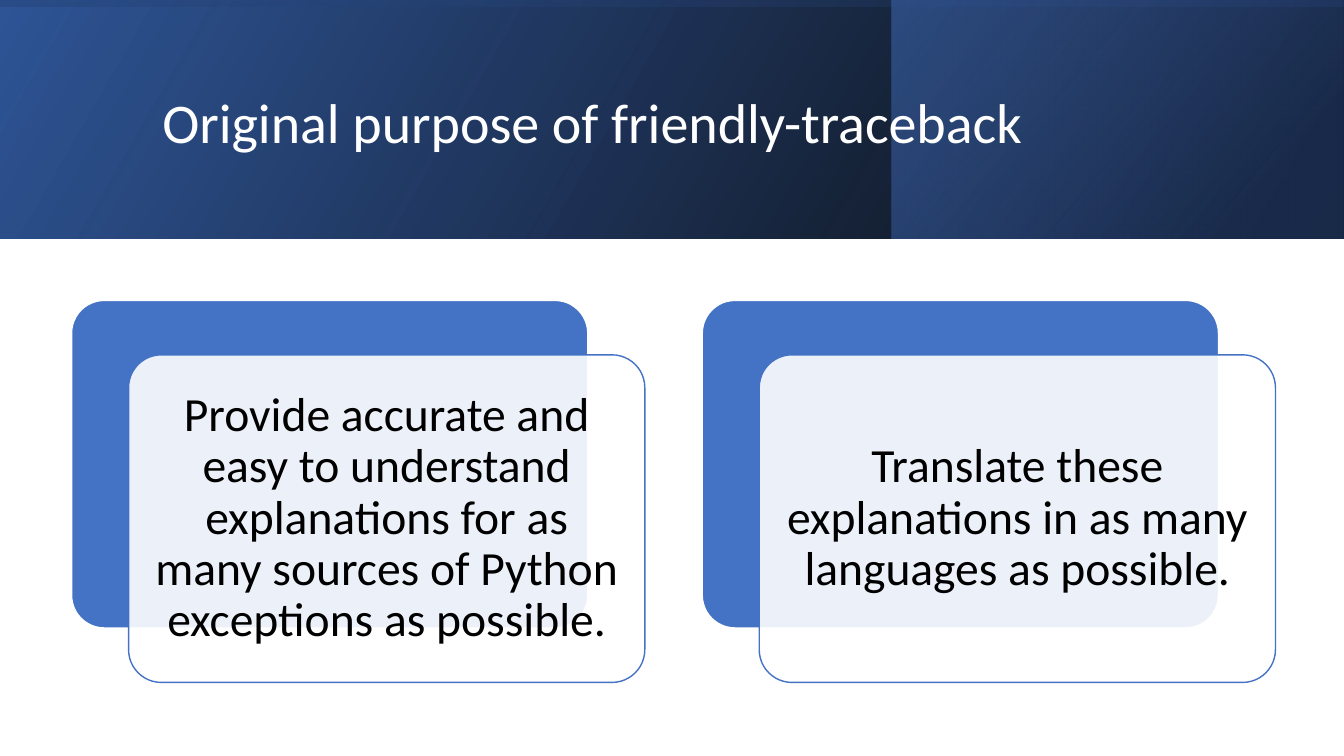
import pptx
import pptx.util
import pptx.dml.color
import pptx.enum.shapes
import pptx.enum.text
import pptx.oxml.ns
import lxml.etree

Inches = pptx.util.Inches
Pt = pptx.util.Pt
RGB = pptx.dml.color.RGBColor
Shape = pptx.enum.shapes.MSO_SHAPE
Align = pptx.enum.text.PP_ALIGN

WHITE = RGB(0xFF, 0xFF, 0xFF)
BLACK = RGB(0x00, 0x00, 0x00)
BLUE = RGB(0x44, 0x72, 0xC4)
DEEP = RGB(0x2F, 0x55, 0x97)
NAVY = RGB(0x20, 0x38, 0x64)

TITLE = "Original purpose of friendly-traceback"
GOALS = [
    "Provide accurate and easy to understand explanations for as many "
    "sources of Python exceptions as possible.",
    "Translate these explanations in as many languages as possible.",
]

WIDE, HIGH = 13.33, 7.5
BAND = 2.37
MID = (WIDE - BAND) / 2
# box, turn, gradient angle, stops of (percent, colour, opacity)
LAYERS = [
    ((0, 0, WIDE, BAND), 0, 30, [(0, BLACK, 96), (100, DEEP, 100)]),
    ((8.84, 0, 4.48, BAND), 0, 40, [(19, NAVY, 68), (100, BLUE, 48)]),
    ((MID, -MID, BAND, WIDE), 270, 10, [(23, DEEP, 16), (99, BLACK, 45)]),
]

CARD = (5.12, 3.25)
LEFT, TOP = 0.71, 2.98
STEP = 6.255
SHIFT = (0.565, 0.54)
PAD = 0.1


def fade(color, percent):
    """Set the opacity of an RGB colour element."""
    tag = pptx.oxml.ns.qn("a:alpha")
    lxml.etree.SubElement(color, tag).set("val", str(percent * 1000))


def write(shape, text, size, color, align=Align.LEFT, inset=0.1):
    frame = shape.text_frame
    frame.word_wrap = True
    frame.auto_size = pptx.enum.text.MSO_AUTO_SIZE.NONE
    frame.vertical_anchor = pptx.enum.text.MSO_ANCHOR.MIDDLE
    frame.margin_left = frame.margin_right = Inches(inset)
    frame.margin_top = frame.margin_bottom = Inches(inset)
    para = frame.paragraphs[0]
    para.alignment = align
    para.line_spacing = 0.9
    run = para.add_run()
    run.text = text
    run.font.name = "Calibri"
    run.font.size = Pt(size)
    run.font.color.rgb = color


def draw(shapes, kind, box):
    shape = shapes.add_shape(kind, *map(Inches, box))
    shape.shadow.inherit = False
    return shape


def layer(shapes, box, turn, angle, stops):
    """Draw one mirrored gradient sheet of the header."""
    sheet = draw(shapes, Shape.RECTANGLE, box)
    sheet.rotation = turn
    sheet.element.spPr.xfrm.set("flipH", "1")
    sheet.line.fill.background()
    sheet.fill.gradient()
    sheet.fill.gradient_angle = angle
    for stop, (place, color, alpha) in zip(sheet.fill.gradient_stops, stops):
        stop.position = place / 100
        stop.color.rgb = color
    tag = pptx.oxml.ns.qn("a:srgbClr")
    for mark, (place, color, alpha) in zip(sheet.element.spPr.iter(tag), stops):
        fade(mark, alpha)


def panel(shapes, x, y, fill, line):
    card = draw(shapes, Shape.ROUNDED_RECTANGLE, (x, y, *CARD))
    card.adjustments[0] = 0.1
    card.fill.solid()
    card.fill.fore_color.rgb = fill
    card.line.color.rgb = line
    card.line.width = Pt(1)
    return card


def goal(shapes, x, text):
    """Draw a blue card, the clear card over it and the text."""
    group = shapes.add_group_shape().shapes
    panel(group, x, TOP, BLUE, WHITE)
    x, y = x + SHIFT[0], TOP + SHIFT[1]
    front = panel(group, x, y, WHITE, BLUE)
    tag = pptx.oxml.ns.qn("a:srgbClr")
    fade(next(front.element.spPr.iter(tag)), 90)
    box = (x + PAD, y + PAD, CARD[0] - 2 * PAD, CARD[1] - 2 * PAD)
    label = group.add_textbox(*map(Inches, box))
    write(label, text, size=34, color=BLACK, align=Align.CENTER, inset=0.14)


def main():
    deck = pptx.Presentation()
    deck.slide_width, deck.slide_height = Inches(WIDE), Inches(HIGH)
    slide = deck.slides.add_slide(deck.slide_layouts[5])
    shapes = slide.shapes
    title = shapes.title
    for item in LAYERS:
        layer(shapes, *item)
    title.left, title.top = Inches(1.51), Inches(0.38)
    title.width, title.height = Inches(10.63), Inches(1.72)
    write(title, TITLE, size=40, color=WHITE)
    # Bring the title in front of the header sheets
    shapes.element.append(title.element)
    for i, text in enumerate(GOALS):
        goal(shapes, LEFT + i * STEP, text)
    deck.save("out.pptx")


if __name__ == "__main__":
    main()
